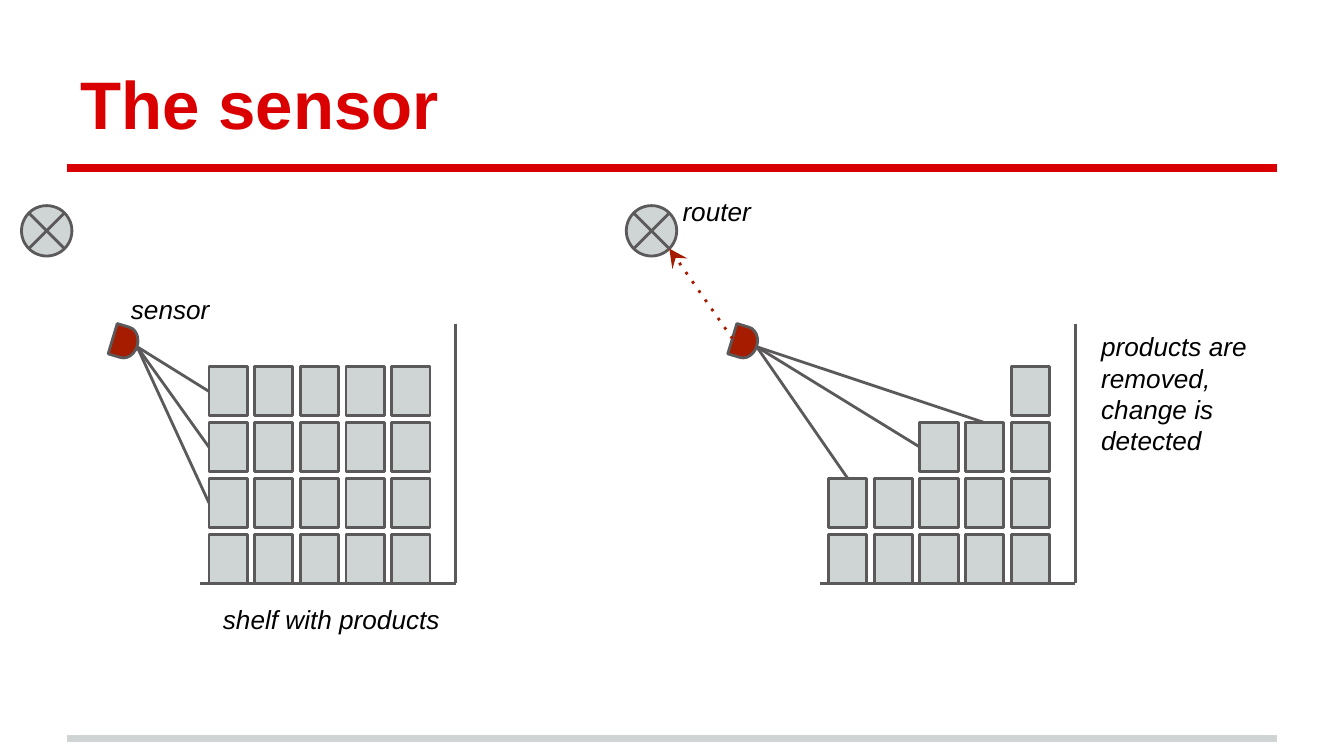
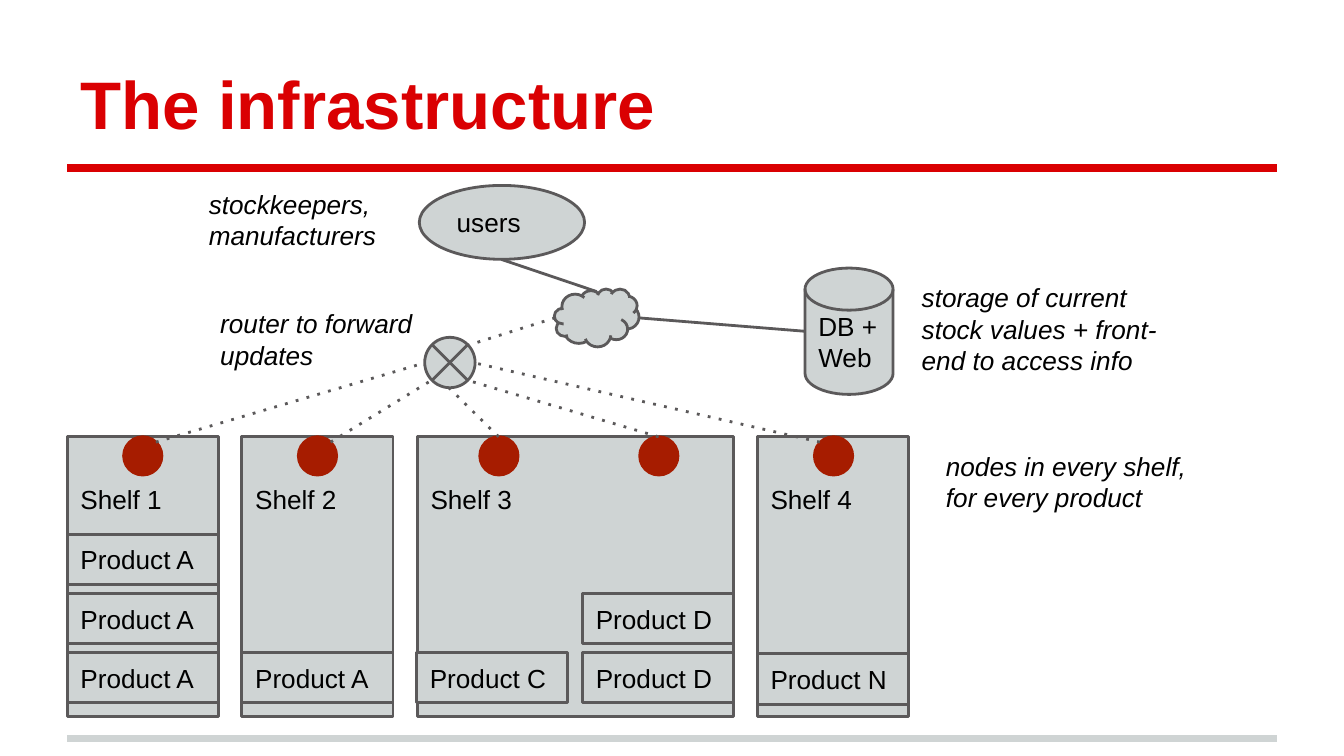
from dataclasses import dataclass
from typing import NamedTuple, Optional

from lxml.etree import SubElement
from pptx import Presentation
from pptx.dml.color import RGBColor
from pptx.enum.dml import MSO_LINE
from pptx.enum.shapes import MSO_CONNECTOR, MSO_SHAPE as Preset
from pptx.enum.text import MSO_ANCHOR as Anchor, PP_ALIGN as Align
from pptx.oxml.ns import qn
from pptx.util import Emu, Pt

EMU_PER_PX = 4572  # 200 px to the inch


@dataclass(frozen=True)
class Theme:
    font: str = "Arial"
    title_size: int = 36
    body_size: int = 14
    outline_width: float = 1.5
    band_width: float = 4
    inset: int = 20
    red: RGBColor = RGBColor(0xDA, 0x00, 0x02)
    sensor: RGBColor = RGBColor(0xA6, 0x1C, 0x00)
    fill: RGBColor = RGBColor(0xCF, 0xD4, 0xD4)
    outline: RGBColor = RGBColor(0x5B, 0x59, 0x5A)
    text: RGBColor = RGBColor(0x00, 0x00, 0x00)


THEME = Theme()


class Point(NamedTuple):
    x: int
    y: int


class Box(NamedTuple):
    left: int
    top: int
    width: int
    height: int


class Note(NamedTuple):
    text: str
    box: Box


class Ray(NamedTuple):
    """Line of sight to a product; side is 0 for its top, 1 for its left."""
    column: int
    row: int
    side: int


@dataclass(frozen=True)
class Rack:
    """Shelf seen from the side, with a sensor and product stacks."""
    offset: int
    stacks: tuple[int, ...]
    rays: tuple[Ray, ...]


class Shelf(NamedTuple):
    label: str
    left: int
    width: int
    nodes: tuple[int, ...]


class Product(NamedTuple):
    label: str
    left: int
    top: int


class Link(NamedTuple):
    start: Point
    end: Point
    dotted: bool = True


def px(length: int) -> Emu:
    return Emu(length * EMU_PER_PX)


def write(shape, text: str, size: int = THEME.body_size, color: RGBColor = THEME.text,
          bold: bool = False, italic: bool = False, anchor=Anchor.TOP,
          top_inset: int = THEME.inset) -> None:
    frame = shape.text_frame
    frame.text = text
    frame.word_wrap = True
    frame.vertical_anchor = anchor
    frame.margin_left = frame.margin_right = frame.margin_bottom = px(THEME.inset)
    frame.margin_top = px(top_inset)
    for para in frame.paragraphs:
        para.alignment = Align.LEFT
        for span in para.runs:
            span.font.name = THEME.font
            span.font.size = Pt(size)
            span.font.color.rgb = color
            span.font.bold = bold
            span.font.italic = italic


def add_text(page, text: str, box: Box, **style) -> None:
    write(page.shapes.add_textbox(*map(px, box)), text, **style)


def add_notes(page, notes: tuple[Note, ...]) -> None:
    for note in notes:
        add_text(page, note.text, note.box, italic=True)


def add_figure(page, preset, box: Box, fill: RGBColor = THEME.fill,
               outline: RGBColor = THEME.outline):
    figure = page.shapes.add_shape(preset, *map(px, box))
    figure.shadow.inherit = False
    figure.fill.solid()
    figure.fill.fore_color.rgb = fill
    figure.line.color.rgb = outline
    figure.line.width = Pt(THEME.outline_width)
    return figure


def add_line(page, start: Point, end: Point, color: RGBColor = THEME.outline,
             width: float = THEME.outline_width, dotted: bool = False, arrow: bool = False):
    line = page.shapes.add_connector(MSO_CONNECTOR.STRAIGHT, *map(px, (*start, *end)))
    line.line.color.rgb = color
    line.line.width = Pt(width)
    properties = line._element.spPr
    outline = properties.find(qn("a:ln"))
    if dotted:
        line.line.dash_style = MSO_LINE.ROUND_DOT
        outline.find(qn("a:prstDash")).set("val", "dot")
    if arrow:
        SubElement(outline, qn("a:tailEnd"), type="stealth", w="lg", len="lg")
    SubElement(properties, qn("a:effectLst"))
    return line


def add_router(page, left: int, top: int) -> None:
    add_figure(page, Preset.FLOWCHART_SUMMING_JUNCTION, Box(left, top, 75, 75))


def start_page(deck, title: str):
    """Add a blank page with its title and the two bands."""
    page = deck.slides.add_slide(deck.slide_layouts[6])
    for y, color in ((1099, THEME.fill), (250, THEME.red)):
        add_line(page, Point(100, y), Point(1900, y), color, THEME.band_width)
    add_text(page, title, Box(100, 45, 1800, 188), size=THEME.title_size,
             color=THEME.red, bold=True, anchor=Anchor.BOTTOM)
    return page


RACKS = (
    Rack(0, (4, 4, 4, 4, 4), (Ray(0, 3, 1), Ray(0, 2, 1), Ray(0, 1, 1))),
    Rack(922, (2, 2, 3, 3, 4), (Ray(0, 1, 0), Ray(2, 2, 1), Ray(3, 2, 0))),
)

SENSOR_NOTES = (
    Note("products are removed, change is detected", Box(1619, 472, 330, 110)),
    Note("sensor", Box(175, 417, 330, 110)),
    Note("shelf with products", Box(312, 878, 424, 110)),
    Note("router", Box(996, 271, 330, 110)),
)


def add_rack(page, rack: Rack) -> None:
    corner = Point(rack.offset + 678, 868)
    add_line(page, Point(rack.offset + 298, corner.y), corner)
    add_line(page, Point(corner.x, 482), corner)
    products = {}
    for column, height in enumerate(rack.stacks):
        for row in range(height):
            box = Box(rack.offset + 311 + 68 * column, 795 - 83 * row, 57, 73)
            products[column, row] = add_figure(page, Preset.RECTANGLE, box)
    sensor = add_figure(page, Preset.FLOWCHART_DELAY,
                        Box(rack.offset + 167, 486, 38, 47), THEME.sensor)
    sensor.rotation = 16.8
    eye = Point(rack.offset + 204, 516)
    for ray in rack.rays:
        sight = add_line(page, eye, eye)
        sight.end_connect(products[ray.column, ray.row], ray.side)


def build_sensor_page(deck) -> None:
    page = start_page(deck, "The sensor")
    for rack in RACKS:
        add_rack(page, rack)
    for left in (32, 932):
        add_router(page, left, 306)
    add_line(page, Point(1090, 504), Point(996, 370), THEME.sensor, dotted=True, arrow=True)
    add_notes(page, SENSOR_NOTES)


SHELVES = (
    Shelf("Shelf 1", 100, 225, (184,)),
    Shelf("Shelf 2", 360, 225, (444,)),
    Shelf("Shelf 3", 621, 471, (714, 952)),
    Shelf("Shelf 4", 1127, 225, (1212,)),
)

PRODUCTS = (
    *(Product("Product A", 100, top) for top in (795, 883, 971)),
    Product("Product A", 360, 971),
    Product("Product C", 620, 971),
    *(Product("Product D", 867, top) for top in (883, 971)),
    Product("Product N", 1127, 973),
)

LINKS = (
    Link(Point(232, 658), Point(632, 540)),
    Link(Point(492, 658), Point(642, 566)),
    Link(Point(742, 650), Point(668, 577)),
    Link(Point(980, 650), Point(696, 566)),
    Link(Point(1220, 658), Point(706, 540)),
    Link(Point(826, 473), Point(696, 514)),
    Link(Point(950, 473), Point(1198, 493), dotted=False),
    Link(Point(888, 434), Point(746, 386), dotted=False),
)

INFRASTRUCTURE_NOTES = (
    Note("nodes in every shelf, for every product", Box(1388, 650, 406, 110)),
    Note("router to forward updates", Box(308, 438, 330, 110)),
    Note("stockkeepers, manufacturers", Box(291, 260, 330, 110)),
    Note("storage of current stock values + front- end to access info",
         Box(1352, 399, 406, 110)),
)


def add_labelled(page, preset, text: str, box: Box, top_inset: Optional[int] = None) -> None:
    """Centre the label vertically, or start it at top_inset."""
    figure = add_figure(page, preset, box)
    if top_inset is None:
        write(figure, text, anchor=Anchor.MIDDLE)
    else:
        write(figure, text, top_inset=top_inset)


def build_infrastructure_page(deck) -> None:
    page = start_page(deck, "The infrastructure")
    shelf_top = 650
    for shelf in SHELVES:
        add_labelled(page, Preset.RECTANGLE, shelf.label,
                     Box(shelf.left, shelf_top, shelf.width, 416), top_inset=69)
        for left in shelf.nodes:
            add_figure(page, Preset.OVAL, Box(left, shelf_top, 57, 57),
                       THEME.sensor, THEME.sensor)
    add_labelled(page, Preset.FLOWCHART_MAGNETIC_DISK, "DB +\nWeb",
                 Box(1198, 399, 131, 188))
    add_router(page, 632, 502)
    add_figure(page, Preset.CLOUD, Box(825, 430, 126, 86))
    add_labelled(page, Preset.FLOWCHART_CONNECTOR, "users", Box(624, 276, 246, 110))
    for link in LINKS:
        add_line(page, link.start, link.end, dotted=link.dotted)
    for product in PRODUCTS:
        add_labelled(page, Preset.RECTANGLE, product.label,
                     Box(product.left, product.top, 225, 75))
    add_notes(page, INFRASTRUCTURE_NOTES)


def main() -> None:
    deck = Presentation()
    deck.slide_width, deck.slide_height = px(2000), px(1125)
    build_sensor_page(deck)
    build_infrastructure_page(deck)
    deck.save("out.pptx")


if __name__ == "__main__":
    main()
